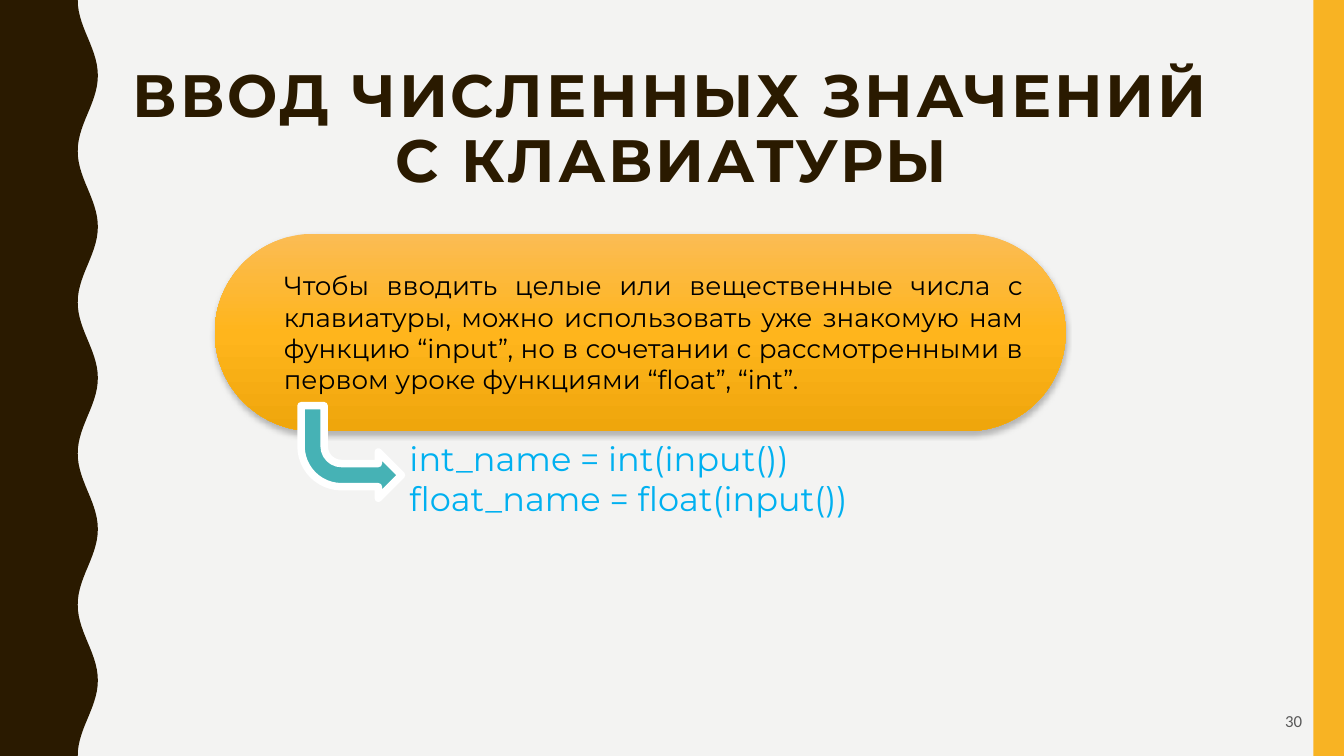
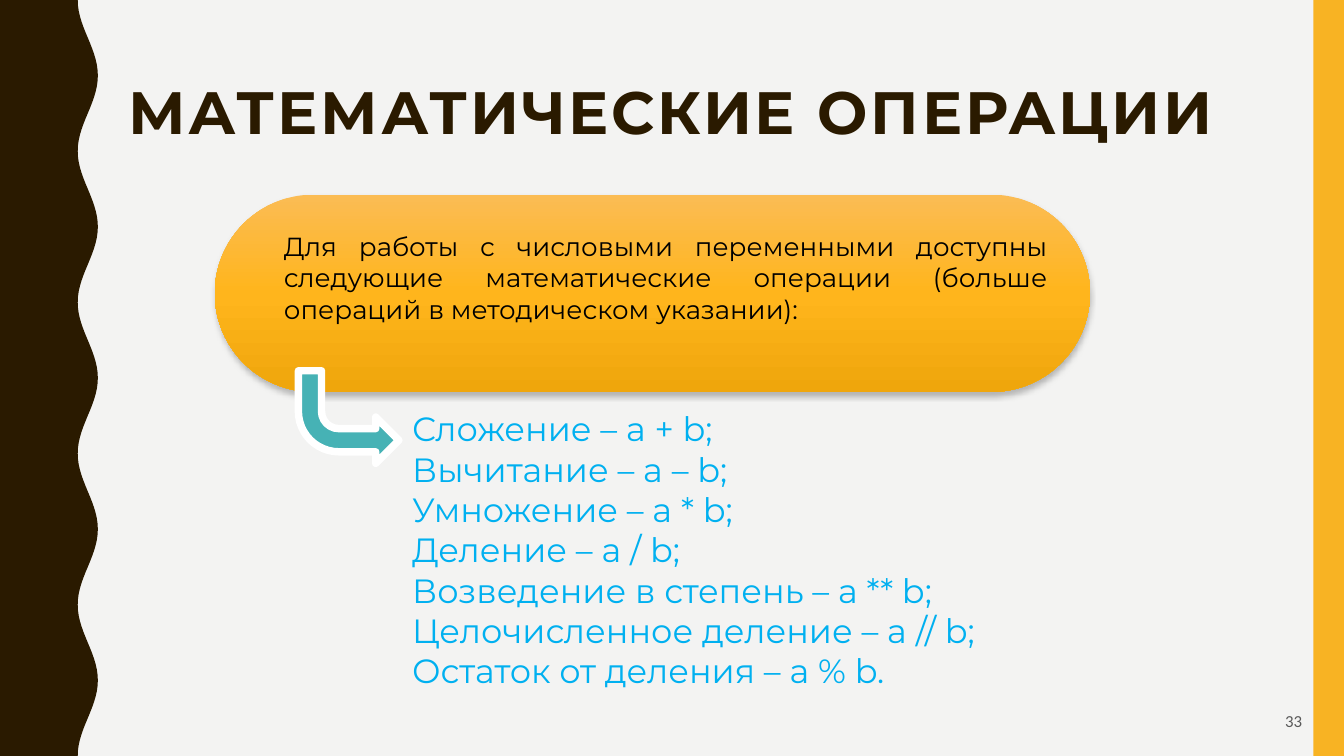
from math import cos, pi

from lxml import etree
from pptx import Presentation
from pptx.dml.color import RGBColor as RGB
from pptx.enum.shapes import MSO_SHAPE as SHAPE
from pptx.enum.text import MSO_ANCHOR as ANCHOR, MSO_AUTO_SIZE as AUTO_SIZE, PP_ALIGN as ALIGN
from pptx.oxml import parse_xml
from pptx.oxml.ns import nsdecls, qn
from pptx.util import Cm, Pt

THEME = {
    "background": RGB.from_string("F3F3F2"),
    "dark": RGB.from_string("2A1A00"),
    "band": RGB.from_string("F8B323"),
    "arrow": RGB.from_string("46B2B5"),
    "white": RGB.from_string("FFFFFF"),
    "black": RGB.from_string("000000"),
    "code": RGB.from_string("00B0F0"),
    "number": RGB.from_string("595959"),
    "gradient": [(0, "FBBC54"), (50, "FFB51C"), (100, "EFA60C")],
    "font": "Montserrat",
    "number_font": "Calibri",
    "title_size": 32,
    "code_size": 18,
    "callout_size": 14,
    "number_size": 9,
}

WIDTH, HEIGHT = 25.4, 14.29
WAVE_MIN, WAVE_MAX, WAVE_COUNT, WAVE_STEPS = 1.47, 1.85, 5, 28

LESSONS = [
    {
        "title": "ВВОД ЧИСЛЕННЫХ ЗНАЧЕНИЙ С КЛАВИАТУРЫ",
        "title_box": (2.18, 1.98, 21.03, 1.96),
        "callout": "Чтобы вводить целые или вещественные числа с клавиатуры, "
                   "можно использовать уже знакомую нам функцию “input”, но в сочетании "
                   "с рассмотренными в первом уроке функциями “float”, “int”.",
        "callout_box": (4.06, 4.42, 16.08, 3.73),
        "callout_bottom": 0.13,
        "arrow_box": (5.69, 7.67, 1.9, 1.75),
        "code": ["int_name = int(input())", "float_name = float(input())"],
        "code_box": (7.49, 8.15, 12.24, 1.8),
        "number": "30",
    },
    {
        "title": "МАТЕМАТИЧЕСКИЕ ОПЕРАЦИИ",
        "title_box": (1.42, 1.07, 22.53, 1.96),
        "callout": "Для работы с числовыми переменными доступны следующие "
                   "математические операции (больше операций в методическом указании):",
        "callout_box": (4.06, 3.68, 16.54, 3.73),
        "callout_bottom": 0.73,
        "arrow_box": (5.64, 7.01, 1.9, 1.75),
        "code": [
            "Сложение – a + b;",
            "Вычитание – a – b;",
            "Умножение – a * b;",
            "Деление – a / b;",
            "Возведение в степень – a ** b;",
            "Целочисленное деление – a // b;",
            "Остаток от деления – a % b.",
        ],
        "code_box": (7.54, 7.59, 12.24, 5.64),
        "number": "33",
    },
]


def write(shape, lines, role, color, align, insets, font="font", bold=False, anchor=ANCHOR.TOP):
    """Fill a shape with one paragraph per line; insets run left, top, right, bottom in cm."""
    frame = shape.text_frame
    frame.word_wrap = True
    frame.auto_size = AUTO_SIZE.NONE
    frame.vertical_anchor = anchor
    (frame.margin_left, frame.margin_top,
     frame.margin_right, frame.margin_bottom) = map(Cm, insets)
    for index, line in enumerate(lines):
        paragraph = frame.add_paragraph() if index else frame.paragraphs[0]
        paragraph.alignment = align
        run = paragraph.add_run()
        run.text = line
        run.font.name = THEME[font]
        run.font.size = Pt(THEME[role])
        run.font.bold = bold
        run.font.color.rgb = THEME[color]
    return frame.paragraphs[0]


def paint(shape, color):
    """Give a shape a plain fill with no outline and no shadow."""
    shape.shadow.inherit = False
    shape.fill.solid()
    shape.fill.fore_color.rgb = THEME[color]
    shape.line.fill.background()


prs = Presentation()
prs.slide_width, prs.slide_height = Cm(WIDTH), Cm(HEIGHT)
master_fill = prs.slide_master.background.fill
master_fill.solid()
master_fill.fore_color.rgb = THEME["background"]
title_only = prs.slide_layouts[5]

wave_edge = []
for step in range(WAVE_COUNT * WAVE_STEPS + 1):
    swing = (1 - cos(2 * pi * step / WAVE_STEPS)) / 2
    wave_edge.append((Cm(WAVE_MIN + (WAVE_MAX - WAVE_MIN) * swing),
                      Cm(HEIGHT * step / (WAVE_COUNT * WAVE_STEPS))))

for lesson in LESSONS:
    slide = prs.slides.add_slide(title_only)
    shapes = slide.shapes

    # Side bands
    outline = shapes.build_freeform(0, 0)
    outline.add_line_segments(wave_edge + [(0, Cm(HEIGHT))], close=True)
    paint(outline.convert_to_shape(), "dark")
    right_band = shapes.add_shape(SHAPE.RECTANGLE, Cm(24.82), 0, Cm(0.58), Cm(HEIGHT))
    paint(right_band, "band")

    # Title and slide number
    title = shapes.title
    title.left, title.top, title.width, title.height = map(Cm, lesson["title_box"])
    heading = write(title, [lesson["title"]], "title_size", "dark", ALIGN.CENTER,
                    [0.25] * 4, bold=True, anchor=ANCHOR.BOTTOM)
    heading.line_spacing = 0.9
    heading.runs[0].font._element.set("spc", "150")
    number = shapes.add_textbox(Cm(23.34), Cm(13.18), Cm(1.52), Cm(1.09))
    write(number, [lesson["number"]], "number_size", "number", ALIGN.RIGHT,
          [0.25] * 4, font="number_font")

    # Explanation
    callout = shapes.add_shape(SHAPE.ROUNDED_RECTANGLE, *map(Cm, lesson["callout_box"]))
    callout.adjustments[0] = 0.5
    paint(callout, "band")
    properties = callout.element.spPr
    stops = "".join(f'<a:gs pos="{position * 1000}"><a:srgbClr val="{color}"/></a:gs>'
                    for position, color in THEME["gradient"])
    properties.replace(properties.find(qn("a:solidFill")), parse_xml(
        f'<a:gradFill {nsdecls("a")}><a:gsLst>{stops}</a:gsLst>'
        '<a:lin ang="5400000" scaled="0"/></a:gradFill>'))
    shadow = etree.SubElement(properties.find(qn("a:effectLst")), qn("a:outerShdw"),
                              blurRad=str(Pt(3)), dist=str(Pt(2)), dir="5400000",
                              algn="ctr", rotWithShape="0")
    shade = etree.SubElement(shadow, qn("a:srgbClr"), val="000000")
    etree.SubElement(shade, qn("a:alpha"), val="25000")
    write(callout, [lesson["callout"]], "callout_size", "black", ALIGN.JUSTIFY,
          (0.76, 0.13, 0.25, lesson["callout_bottom"]), anchor=ANCHOR.MIDDLE)

    # Arrow to the examples
    arrow = shapes.add_shape(SHAPE.BENT_ARROW, *map(Cm, lesson["arrow_box"]))
    paint(arrow, "arrow")
    arrow.line.color.rgb = THEME["white"]
    arrow.line.width = Pt(4)
    arrow.element.spPr.find(qn("a:xfrm")).set("flipV", "1")

    code = shapes.add_textbox(*map(Cm, lesson["code_box"]))
    write(code, lesson["code"], "code_size", "code", ALIGN.LEFT, (0.25, 0.13, 0.25, 0.13))

prs.save("out.pptx")
